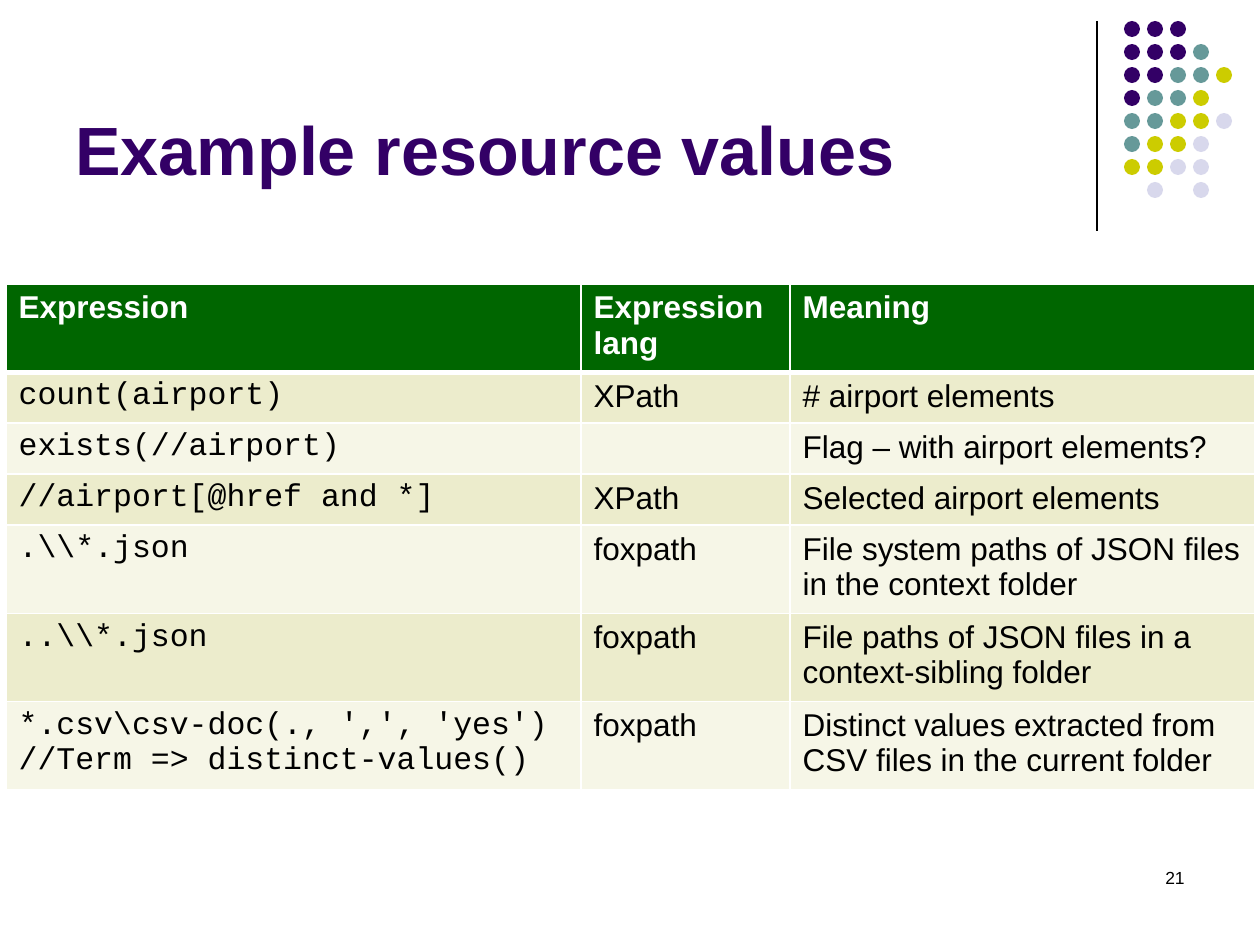
import pptx
import pptx.util
import pptx.dml.color
import pptx.enum.shapes
import pptx.enum.text
import pptx.oxml
import pptx.oxml.ns

EMU_PER_PX = 914400 / 126
NAVY, TEAL, OLIVE, LILAC = "330066", "669999", "CCCC00", "D8D8EC"
WHITE, BLACK, GREEN = "FFFFFF", "000000", "006600"
BANDS = ["ECECCC", "F6F6E7"]


def px(length):
    return pptx.util.Emu(round(length * EMU_PER_PX))


def color(value):
    return pptx.dml.color.RGBColor.from_string(value)


deck = pptx.Presentation()
deck.slide_width, deck.slide_height = px(1260), px(945)
page = deck.slides.add_slide(deck.slide_layouts[6])

# Vertical rule beside the dots
rule = page.shapes.add_connector(
    pptx.enum.shapes.MSO_CONNECTOR.STRAIGHT, px(1097), px(21), px(1097), px(231))
rule.line.color.rgb = color(BLACK)
rule.line.width = pptx.util.Pt(0.75)
rule._element.spPr.append(pptx.oxml.parse_xml(
    f'<a:effectLst {pptx.oxml.ns.nsdecls("a")}/>'))

# Dot pattern: one letter per dot, a space where there is none
dot_colors = {"N": NAVY, "T": TEAL, "O": OLIVE, "L": LILAC}
dot_rows = ["NNN", "NNNT", "NNTTO", "NTTO", "TTOOL", "TOOL", "OOLL", " L L"]
for row, letters in enumerate(dot_rows):
    for column, letter in enumerate(letters):
        if letter == " ":
            continue
        dot = page.shapes.add_shape(
            pptx.enum.shapes.MSO_SHAPE.OVAL,
            px(1124 + 23 * column), px(21 + 23 * row), px(16), px(16))
        dot.shadow.inherit = False
        dot.fill.solid()
        dot.fill.fore_color.rgb = color(dot_colors[letter])
        dot.line.fill.background()

# Title and page number
anchors = pptx.enum.text.MSO_ANCHOR
aligns = pptx.enum.text.PP_ALIGN
labels = [
    ("Example resource values", (63, 16, 1040, 179), 39, NAVY, True, anchors.BOTTOM, aligns.LEFT),
    ("21", (903, 861, 294, 63), 10, BLACK, False, anchors.TOP, aligns.RIGHT),
]
for text, place, size, ink, bold, anchor, align in labels:
    box = page.shapes.add_textbox(*map(px, place))
    box.text_frame.word_wrap = True
    box.text_frame.vertical_anchor = anchor
    para = box.text_frame.paragraphs[0]
    para.alignment = align
    span = para.add_run()
    span.text = text
    span.font.name = "Arial"
    span.font.size = pptx.util.Pt(size)
    span.font.bold = bold
    span.font.color.rgb = color(ink)

# Table of expressions
rows = [
    ("Expression", "Expression lang", "Meaning"),
    ("count(airport)", "XPath", "# airport elements"),
    ("exists(//airport)", "", "Flag – with airport elements?"),
    ("//airport[@href and *]", "XPath", "Selected airport elements"),
    (r".\\*.json", "foxpath", "File system paths of JSON files in the context folder"),
    (r"..\\*.json", "foxpath", "File paths of JSON files in a context-sibling folder"),
    ("*.csv\\csv-doc(., ',', 'yes')\n//Term => distinct-values()", "foxpath",
     "Distinct values extracted from CSV files in the current folder"),
]
widths = [575, 209, 465]
heights = [82, 51, 51, 51, 83, 83, 83]
table = page.shapes.add_table(
    len(rows), len(widths), px(6), px(284), px(sum(widths)), px(sum(heights))).table
for column, width in zip(table.columns, widths):
    column.width = px(width)
for table_row, height in zip(table.rows, heights):
    table_row.height = px(height)

for row, texts in enumerate(rows):
    header = row == 0
    for column, text in enumerate(texts):
        cell = table.cell(row, column)

        # White borders, thicker under the header
        borders = {"lnL": 1, "lnR": 1, "lnT": 3 if row == 1 else 1, "lnB": 3 if header else 1}
        for side, points in borders.items():
            cell._tc.get_or_add_tcPr().append(pptx.oxml.parse_xml(
                f'<a:{side} {pptx.oxml.ns.nsdecls("a")} w="{points * 12700}">'
                f'<a:solidFill><a:srgbClr val="{WHITE}"/></a:solidFill></a:{side}>'))
        cell.fill.solid()
        cell.fill.fore_color.rgb = color(GREEN if header else BANDS[(row - 1) % 2])

        for index, line in enumerate(text.split("\n")):
            frame = cell.text_frame
            para = frame.add_paragraph() if index else frame.paragraphs[0]
            if not line:
                continue
            span = para.add_run()
            span.text = line
            span.font.name = "Courier New" if column == 0 and not header else "Arial"
            span.font.size = pptx.util.Pt(18)
            span.font.bold = header
            span.font.color.rgb = color(WHITE if header else BLACK)

deck.save("out.pptx")
